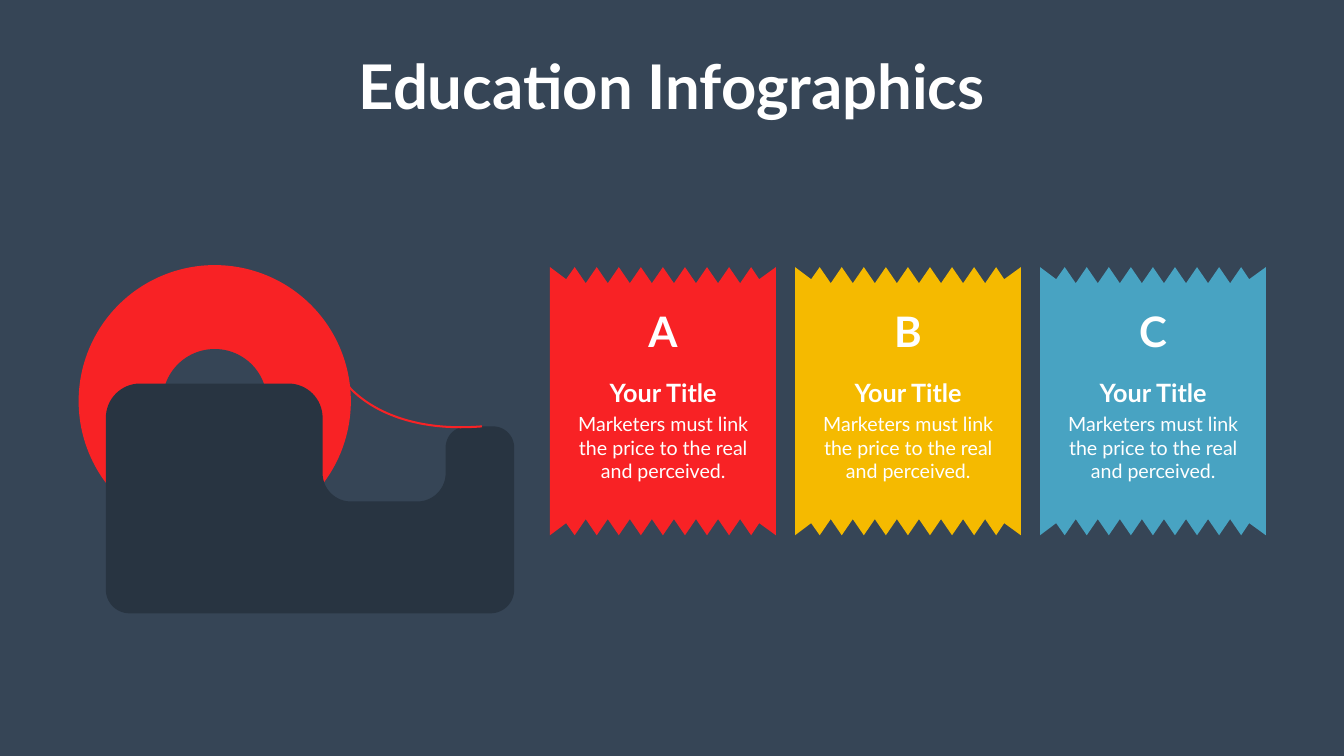
"""Build a tape dispenser slide with three torn tickets."""
import math
from pptx import Presentation
from pptx import util as u
from pptx.dml.color import RGBColor
from pptx.enum import shapes, text

RED, WHITE, SLATE, DARK = "F82225", "FFFFFF", "364556", "283441"
color = RGBColor.from_string


def outline(points, fill=None):
    spots = [(u.Inches(x), u.Inches(y)) for x, y in points]
    pen = slide.shapes.build_freeform(*spots[0])
    pen.add_line_segments(spots[1:], close=fill is not None)
    shape = pen.convert_to_shape()
    shape.shadow.inherit = False
    if fill:
        shape.fill.solid()
        shape.fill.fore_color.rgb = color(fill)
        shape.line.fill.background()
    else:
        shape.fill.background()
    return shape


def label(home, words, place, size, bold, wrap=True):
    frame = home.add_textbox(*map(u.Inches, place)).text_frame
    frame.word_wrap = wrap
    frame.auto_size = text.MSO_AUTO_SIZE.SHAPE_TO_FIT_TEXT
    para = frame.paragraphs[0]
    para.alignment = text.PP_ALIGN.CENTER
    run = para.add_run()
    run.text = words
    style = {"name": "Lato", "size": u.Pt(size), "bold": bold}
    for key, value in style.items():
        setattr(run.font, key, value)
    run.font.color.rgb = color(WHITE)


deck = Presentation()
deck.slide_width, deck.slide_height = u.Inches(26.66), u.Inches(15)
slide = deck.slides.add_slide(deck.slide_layouts[6])
slide.background.fill.solid()
slide.background.fill.fore_color.rgb = color(SLATE)

label(slide.shapes, "Education Infographics", (6.88, 0.91, 12.89, 1.58), 88, True, False)

for width, fill in ((5.4, RED), (2.07, SLATE)):
    place = (4.26 - width / 2, 7.96 - width / 2, width, width)
    disc = slide.shapes.add_shape(shapes.MSO_SHAPE.OVAL, *map(u.Inches, place))
    disc.shadow.inherit = False
    disc.fill.solid()
    disc.fill.fore_color.rgb = color(fill)
    disc.line.fill.background()

bends = [
    (2.1, 7.61, 0.68), (6.4, 7.61, 0.68), (6.4, 9.95, 0.56), (8.84, 9.95, 0.56),
    (8.84, 8.46, 0.42), (10.2, 8.46, 0.42), (10.2, 12.17, 0.47), (2.1, 12.17, 0.47),
]
body = []
for i, (x, y, r) in enumerate(bends):
    last, after = bends[i - 1], bends[(i + 1) % len(bends)]
    back, ahead = math.dist(last[:2], (x, y)), math.dist(after[:2], (x, y))
    for step in range(17):
        turn = math.pi / 2 * step / 16
        near, far = r * (1 - math.sin(turn)) / back, r * (1 - math.cos(turn)) / ahead
        body.append((x + near * (last[0] - x) + far * (after[0] - x),
                     y + near * (last[1] - y) + far * (after[1] - y)))
outline(body, DARK)

knots = [(6.87, 7.61), (6.87, 7.61), (7.57, 8.62), (9.56, 8.46)]
curve = []
for step in range(41):
    t = step / 40
    parts = [math.comb(3, k) * t ** k * (1 - t) ** (3 - k) for k in range(4)]
    curve.append([sum(p * knot[axis] for p, knot in zip(parts, knots)) for axis in (0, 1)])
tape = outline(curve)
tape.line.color.rgb = color(RED)
tape.line.width = u.Pt(2.89)

teeth = [(0.49 + 3.5 * k / 16, 0.32 * (k % 2)) for k in range(17)]
edge = [(0, 0), (0.32, 0.24), *teeth, (4.15, 0.24), (4.48, 0)]
cards = [("A", RED), ("B", "F5BA00"), ("C", "48A3C2")]
lefts = [10.91 + 4.86 * i for i in range(len(cards))]
for left, (mark, fill) in zip(lefts, cards):
    top = [(left + x, 5.3 + y) for x, y in edge]
    base = [(left + x, 10.62 - y) for x, y in reversed(edge)]
    outline(top + base, fill)

for left, (mark, fill) in zip(lefts, cards):
    group = slide.shapes.add_group_shape().shapes
    label(group, mark, (left + 1.57, 6.02, 1.34, 1.11), 60, True)
    label(group, "Marketers must link the price to the real and perceived.",
          (left + 0.35, 8.13, 3.79, 1.51), 28, False)
    label(group, "Your Title", (left + 0.35, 7.43, 3.79, 0.71), 36, True)

deck.save("out.pptx")
